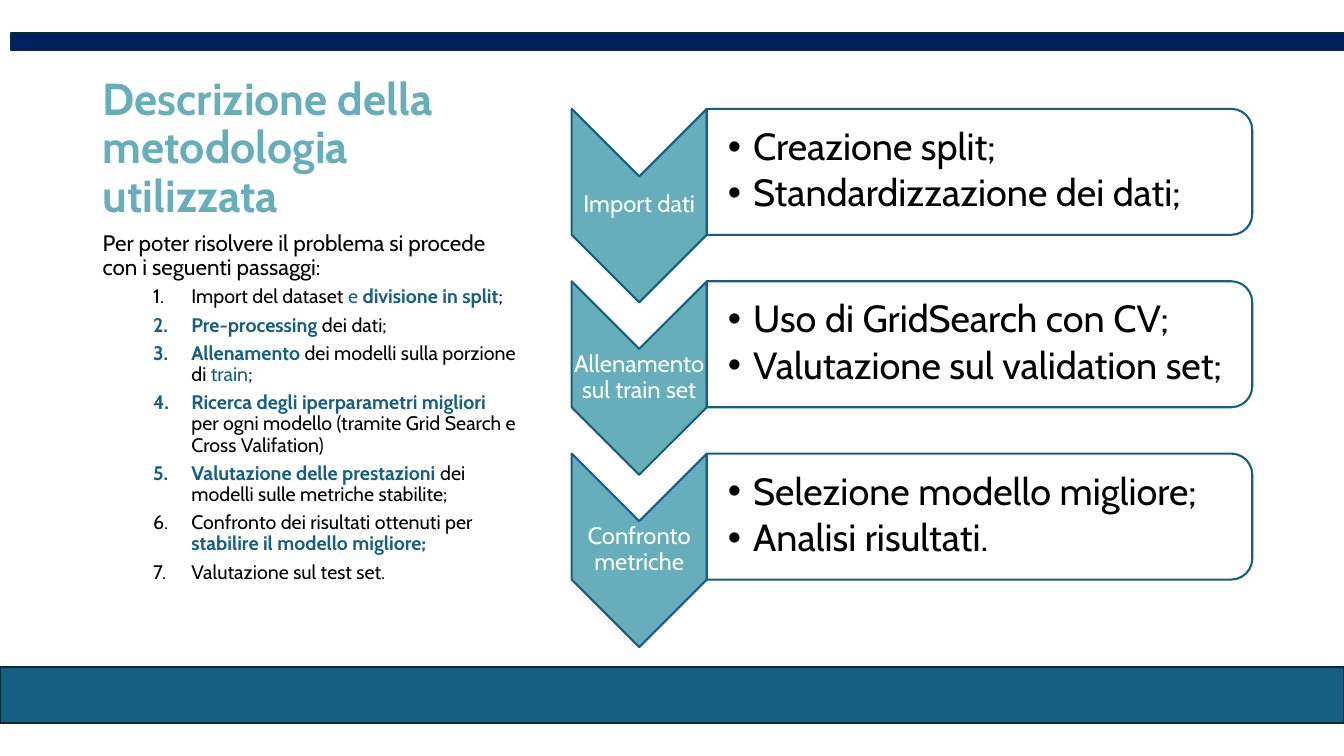
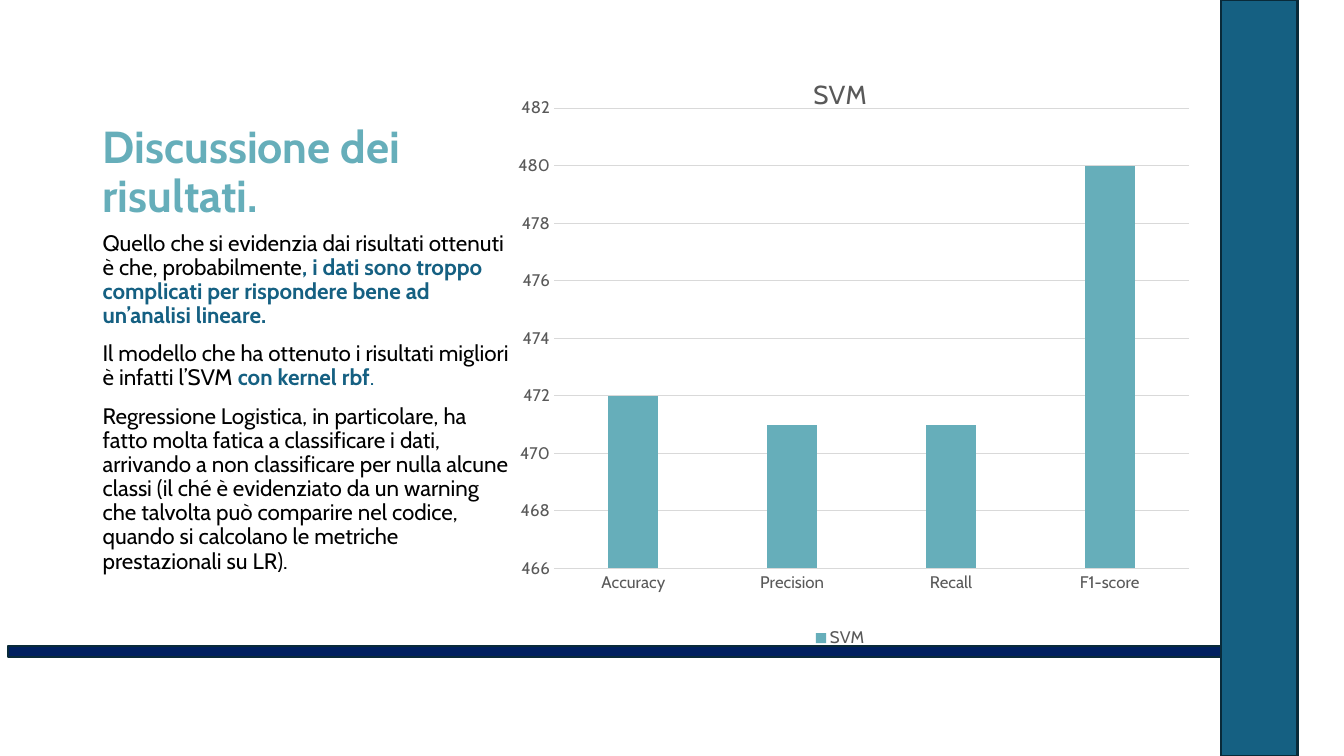
import pptx
import pptx.util
import pptx.chart.data
import pptx.dml.color
import pptx.enum.chart
import pptx.enum.shapes
import pptx.enum.text
import lxml.etree
import pptx.oxml.ns

Inches, Pt = pptx.util.Inches, pptx.util.Pt
SHAPE = pptx.enum.shapes.MSO_SHAPE
ALIGN = pptx.enum.text.PP_ALIGN
ANCHOR = pptx.enum.text.MSO_ANCHOR
FONT = "Cabin"
TEAL, BLUE, NAVY, EDGE = "66AEBA", "156082", "002060", "092A39"
WHITE, BLACK, GRAY, GRID = "FFFFFF", "000000", "595959", "D9D9D9"

PLAIN, TINT, STRONG, HEAD, LABEL = (
    (BLACK, False), (BLUE, False), (BLUE, True), (TEAL, True), (WHITE, False))

METHOD = "Descrizione della metodologia utilizzata"
INTRO = "Per poter risolvere il problema si procede con i seguenti passaggi:"
STEPS = [
    [("Import del dataset ", PLAIN), ("e ", TINT),
     ("divisione in split", STRONG), (";", PLAIN)],
    [("Pre-processing", STRONG), (" dei dati;", PLAIN)],
    [("Allenamento", STRONG), (" dei modelli sulla porzione di ", PLAIN),
     ("train", TINT), (";", PLAIN)],
    [("Ricerca degli iperparametri migliori ", STRONG),
     ("per ogni modello (tramite Grid Search e Cross Valifation)", PLAIN)],
    [("Valutazione delle prestazioni ", STRONG),
     ("dei modelli sulle metriche stabilite;", PLAIN)],
    [("Confronto dei risultati ottenuti per ", PLAIN),
     ("stabilire il modello migliore;", STRONG)],
    [("Valutazione sul test set.", PLAIN)],
]
STAGES = [
    ("Import dati", ["Creazione split;", "Standardizzazione dei dati;"]),
    ("Allenamento sul train set",
     ["Uso di GridSearch con CV;", "Valutazione sul validation set;"]),
    ("Confronto metriche",
     ["Selezione modello migliore;", "Analisi risultati."]),
]
RESULT = "Discussione dei risultati."
NOTES = [
    [("Quello che si evidenzia dai risultati ottenuti è che, probabilmente",
      PLAIN),
     (", i dati sono troppo complicati per rispondere bene ad "
      "un’analisi lineare.", STRONG)],
    [("Il modello che ha ottenuto i risultati migliori è infatti l’SVM ",
      PLAIN), ("con kernel rbf", STRONG), (".", TINT)],
    [("Regressione Logistica, in particolare, ha fatto molta fatica a "
      "classificare i dati, arrivando a non classificare per nulla alcune "
      "classi (il ché è evidenziato da un warning che talvolta può comparire "
      "nel codice, quando si calcolano le metriche prestazionali su LR).",
      PLAIN)],
]
SCORES = {"Accuracy": 472, "Precision": 471, "Recall": 471, "F1-score": 480}


def color(code):
    return pptx.dml.color.RGBColor.from_string(code)


def style(font, size, code, bold=False):
    font.name, font.size, font.bold = FONT, Pt(size), bold
    font.color.rgb = color(code)


def box(slide, at, inset=(0.1, 0.05, 0.1, 0.05), anchor=ANCHOR.TOP):
    frame = slide.shapes.add_textbox(*map(Inches, at)).text_frame
    frame.word_wrap = True
    frame.vertical_anchor = anchor
    (frame.margin_left, frame.margin_top,
     frame.margin_right, frame.margin_bottom) = map(Inches, inset)
    return frame


def write(frame, parts, size, before=0, after=0):
    para = frame.paragraphs[0]
    if para.runs:
        para = frame.add_paragraph()
        para.space_before = Pt(before)
    para.line_spacing = 0.9
    para.space_after = Pt(after)
    for text, look in parts:
        run = para.add_run()
        run.text = text
        style(run.font, size, *look)
    return para


def bullet(para, left, hang, tag, **attrs):
    props = para._p.get_or_add_pPr()
    props.set("marL", str(Inches(left)))
    props.set("indent", str(-Inches(hang)))
    if tag == "a:buChar":
        face = lxml.etree.SubElement(props, pptx.oxml.ns.qn("a:buFont"))
        face.set("typeface", "Arial")
    lxml.etree.SubElement(props, pptx.oxml.ns.qn(tag), attrs)


def shape(slide, kind, at, fill, line, turn=0):
    item = slide.shapes.add_shape(kind, *map(Inches, at))
    item.shadow.inherit = False
    item.fill.solid()
    item.fill.fore_color.rgb = color(fill)
    item.line.color.rgb = color(line)
    item.line.width = Pt(1.5)
    item.rotation = turn


def upright(slide, kind, at, fill):
    x, y, w, h = at
    shape(slide, kind, (x + (w - h) / 2, y + (h - w) / 2, h, w),
          fill, BLUE, 90)


def start(deck, title):
    slide = deck.slides.add_slide(deck.slide_layouts[6])
    head = box(slide, (0.92, 0.5, 4.3, 1.75), anchor=ANCHOR.BOTTOM)
    write(head, [(title, HEAD)], 32)
    return slide, box(slide, (0.92, 2.25, 4.3, 4.17))


def bands(slide, wide, thin):
    shape(slide, SHAPE.RECTANGLE, wide, BLUE, EDGE)
    shape(slide, SHAPE.RECTANGLE, thin, NAVY, EDGE)


def stage(slide, top, label, points):
    left, width = 5.67, 1.34
    side = left + width
    upright(slide, SHAPE.CHEVRON, (left, top, width, 1.92), TEAL)
    frame = box(slide, (left, top + 0.67, width, 0.57), (0.01,) * 4,
                ANCHOR.MIDDLE)
    write(frame, [(label, LABEL)], 17).alignment = ALIGN.CENTER
    upright(slide, SHAPE.ROUND_2_SAME_RECTANGLE, (side, top, 5.41, 1.25),
            WHITE)
    frame = box(slide, (side, top + 0.06, 5.35, 1.12),
                (0.21, 0.02, 0.02, 0.02), ANCHOR.MIDDLE)
    for point in points:
        para = write(frame, [(point, PLAIN)], 27, after=4)
        bullet(para, 0.25, 0.25, "a:buChar", char="•")


def layout(space, x, y, w, h):
    holder = space.get_or_add_layout() if hasattr(
        space, "get_or_add_layout") else space.find(
            pptx.oxml.ns.qn("c:layout"))
    if holder is None:
        holder = lxml.etree.Element(pptx.oxml.ns.qn("c:layout"))
        space.insert(0, holder)
    manual = lxml.etree.SubElement(holder, pptx.oxml.ns.qn("c:manualLayout"))
    for tag, val in (("layoutTarget", "inner"), ("xMode", "edge"),
                     ("yMode", "edge"), ("x", x), ("y", y),
                     ("w", w), ("h", h)):
        node = lxml.etree.SubElement(manual, pptx.oxml.ns.qn("c:" + tag))
        node.set("val", str(val))


def graph(slide):
    kinds = pptx.enum.chart
    data = pptx.chart.data.CategoryChartData()
    data.categories = list(SCORES)
    data.add_series("SVM", list(SCORES.values()))
    chart = slide.shapes.add_chart(
        kinds.XL_CHART_TYPE.COLUMN_CLUSTERED,
        *map(Inches, (4.87, 0.54, 6.93, 5.93)), data).chart
    style(chart.font, 10, BLACK)
    chart.has_title = True
    title = chart.chart_title.text_frame
    title.text = "SVM"
    style(title.paragraphs[0].runs[0].font, 18.6, GRAY)
    chart.has_legend = True
    chart.legend.position = kinds.XL_LEGEND_POSITION.BOTTOM
    chart.legend.include_in_layout = False
    style(chart.legend.font, 12, GRAY)
    plot = chart.plots[0]
    plot.gap_width, plot.overlap = 219, -27
    plot.vary_by_categories = False
    bars = plot.series[0].format.fill
    bars.solid()
    bars.fore_color.rgb = color(TEAL)
    cats, vals = chart.category_axis, chart.value_axis
    for axis in (cats, vals):
        axis.major_tick_mark = kinds.XL_TICK_MARK.NONE
        axis.minor_tick_mark = kinds.XL_TICK_MARK.NONE
        style(axis.tick_labels.font, 12, GRAY)
    vals.minimum_scale, vals.maximum_scale, vals.major_unit = 466, 482, 2
    vals.format.line.fill.background()
    for line in (cats.format.line, vals.major_gridlines.format.line):
        line.color.rgb = color(GRID)
        line.width = Pt(0.75)
    area = chart._chartSpace.find(".//" + pptx.oxml.ns.qn("c:plotArea"))
    layout(area, 0.09, 0.09, 0.91, 0.77)


def method(deck):
    slide, body = start(deck, METHOD)
    write(body, [(INTRO, PLAIN)], 16)
    for step in STEPS:
        para = write(body, step, 14, before=5)
        bullet(para, 0.88, 0.38, "a:buAutoNum", type="arabicPeriod")
    for row, (label, points) in enumerate(STAGES):
        stage(slide, 1.08 + row * 1.71, label, points)
    bands(slide, (0, 6.62, 13.33, 0.55), (0.11, 0.33, 13.23, 0.17))


def result(deck):
    slide, body = start(deck, RESULT)
    for note in NOTES:
        write(body, note, 16, before=10)
    bands(slide, (12.11, 0, 0.76, 7.5), (0.08, 6.41, 12.03, 0.11))
    graph(slide)


def main():
    deck = pptx.Presentation()
    deck.slide_width, deck.slide_height = Inches(13.33), Inches(7.5)
    method(deck)
    result(deck)
    deck.save("out.pptx")


if __name__ == "__main__":
    main()
